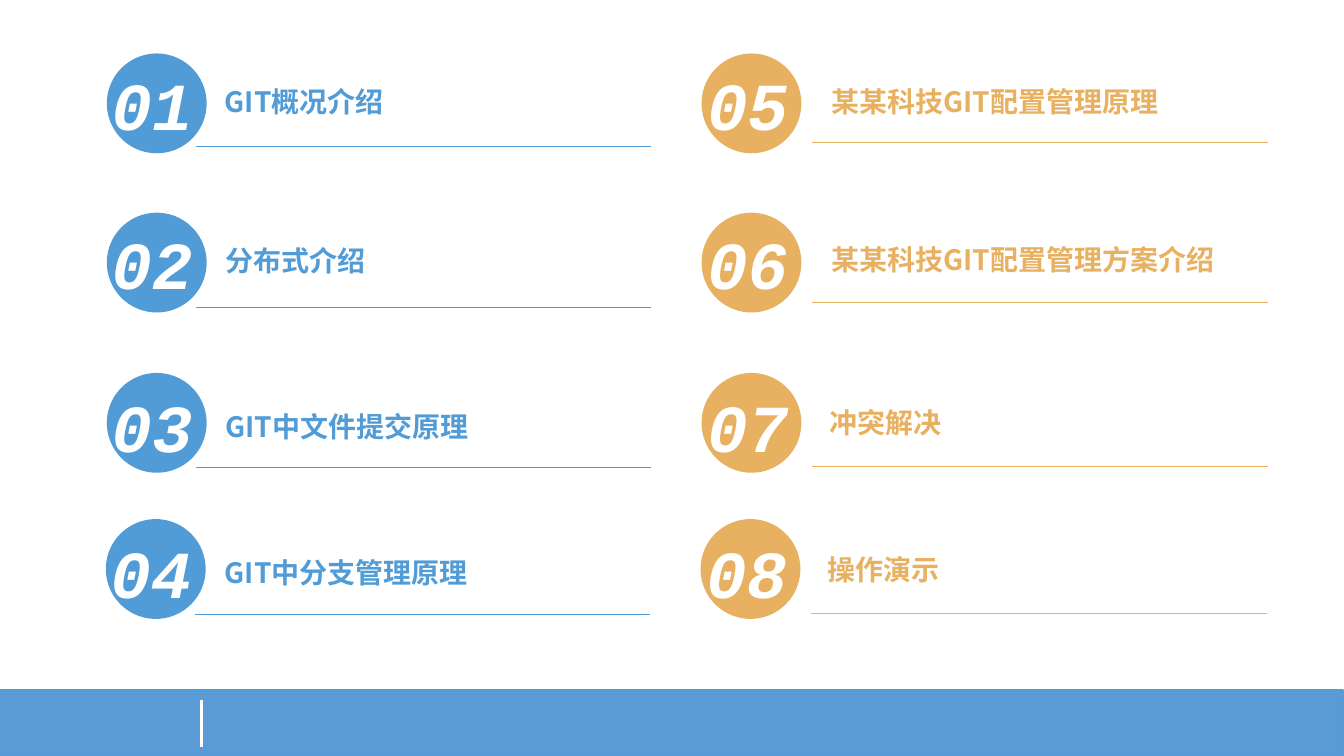
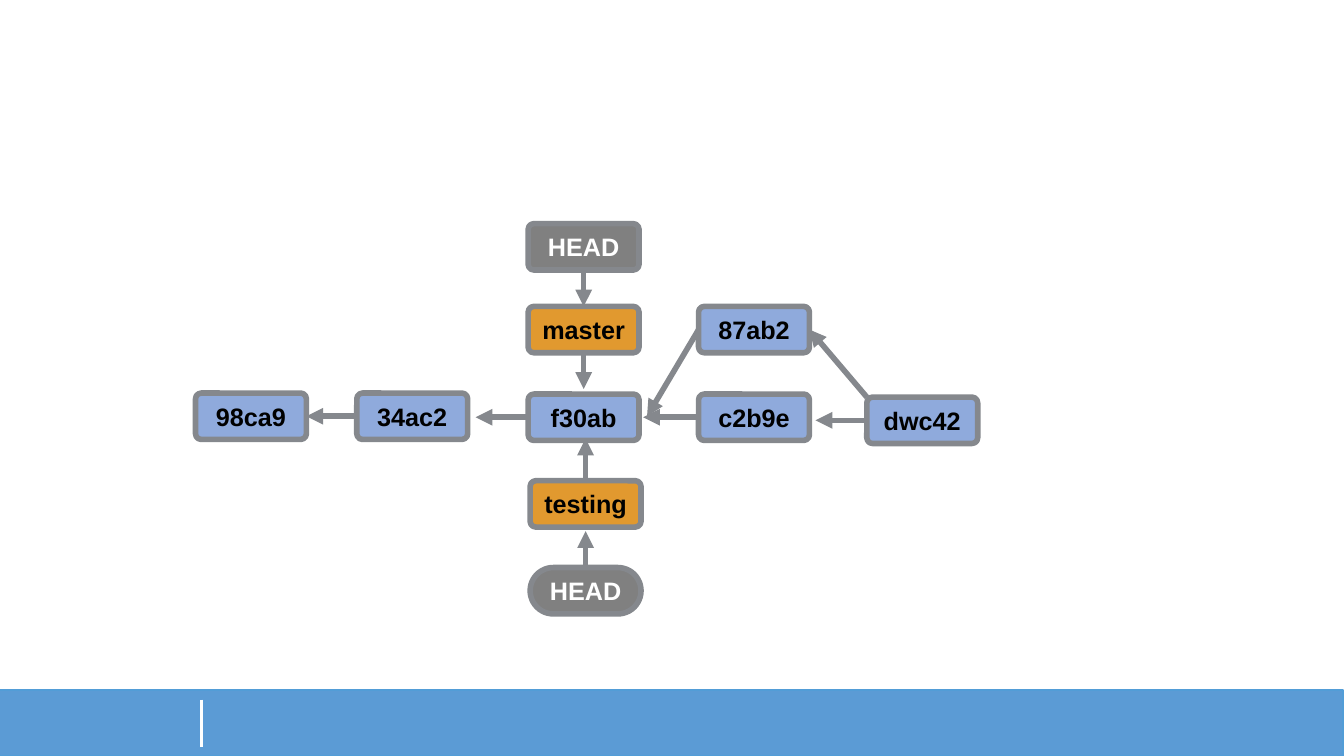
from dataclasses import dataclass

from pptx import Presentation
from pptx.dml.color import RGBColor
from pptx.enum.shapes import MSO_CONNECTOR, MSO_SHAPE
from pptx.enum.text import MSO_ANCHOR, PP_ALIGN
from pptx.oxml.ns import qn
from pptx.oxml.xmlchemy import OxmlElement
from pptx.util import Pt


@dataclass(frozen=True)
class Theme:
    band: str = "5B9BD5"
    band_line: str = "529DD7"
    blue: str = "519CD6"
    gold: str = "E8B161"
    commit: str = "8FAADC"
    branch: str = "E1992F"
    head: str = "808080"
    border: str = "85888D"
    white: str = "FFFFFF"
    black: str = "000000"
    number_font: str = "Courier New"
    title_font: str = "Noto Sans CJK SC"
    node_font: str = "Arial"
    number_size: int = 48
    title_size: int = 20
    node_size: int = 18


THEME = Theme()
SLIDE_WIDTH, SLIDE_HEIGHT = 960, 540
TOP, LEFT, BOTTOM, RIGHT = range(4)

# Agenda: circle top, number top, left shift of each row
AGENDA_ROWS = [(38.2, 41.8, 0), (151.9, 155.5, 0), (266.4, 271.4, 0), (370.8, 375.8, 0.7)]
CIRCLE_SIZE = 71.3
RULE_LENGTH = 325.3
# Each item: title, title left, title top, rule top
AGENDA_COLUMNS = [
    {"circle_left": 76.3, "number_left": 72.7, "rule_left": 139.7,
     "color": THEME.blue, "rule_color": THEME.band_line,
     "items": [("GIT概况介绍", 153.4, 56.9, 104.4),
               ("分布式介绍", 154.1, 170.6, 219.6),
               ("GIT中文件提交原理", 154.1, 288.7, 334.1),
               ("GIT中分支管理原理", 153.4, 393.1, 438.5)]},
    {"circle_left": 501.1, "number_left": 498.2, "rule_left": 580.3,
     "color": THEME.gold, "rule_color": THEME.gold,
     "items": [("某某科技GIT配置管理原理", 586.8, 56.9, 101.5),
               ("某某科技GIT配置管理方案介绍", 586.8, 169.9, 216),
               ("冲突解决", 585.4, 285.8, 333.4),
               ("操作演示", 583.9, 391, 437.8)]},
]

NODE_WIDTH, NODE_HEIGHT = 79.2, 33.1
NODE_INSET = 4.3
NODE_STYLES = {
    "commit": {"fill": THEME.commit, "text": THEME.black, "corner": 0.123},
    "branch": {"fill": THEME.branch, "text": THEME.black, "corner": 0.123},
    "head": {"fill": THEME.head, "text": THEME.white, "corner": 0.123},
    "pill": {"fill": THEME.head, "text": THEME.white, "corner": 0.5},
}
# Key: label, style, left, top
NODES = {
    "98ca9": ("98ca9", "commit", 139.7, 280.8),
    "34ac2": ("34ac2", "commit", 254.9, 280.8),
    "f30ab": ("f30ab", "commit", 377.3, 281.5),
    "c2b9e": ("c2b9e", "commit", 499, 281.5),
    "87ab2": ("87ab2", "commit", 499, 218.9),
    "dwc42": ("dwc42", "commit", 619.2, 283.7),
    "master": ("master", "branch", 377.3, 218.9),
    "testing": ("testing", "branch", 378.7, 343.4),
    "master head": ("HEAD", "head", 377.3, 159.8),
    "testing head": ("HEAD", "pill", 378.7, 405.4),
}
# Each end is a (node, side) joint or a free (x, y) point
ARROWS = [
    (("34ac2", LEFT), ("98ca9", RIGHT)),
    (("f30ab", LEFT), (339.8, 298.05)),
    (("c2b9e", LEFT), (459.4, 298.05)),
    (("87ab2", LEFT), (462.2, 297.4)),
    (("dwc42", LEFT), (582.5, 300.25)),
    ((619.2, 283.7), ("87ab2", RIGHT)),
    (("master head", BOTTOM), ("master", TOP)),
    (("master", BOTTOM), (416.9, 277.9)),
    (("testing", TOP), (418.3, 313.2)),
    (("testing head", TOP), (418.3, 379.4)),
]


def rgb(color):
    return RGBColor.from_string(color)


def add_filled_shape(slide, kind, box, color):
    shape = slide.shapes.add_shape(kind, *map(Pt, box))
    shape.shadow.inherit = False
    shape.fill.solid()
    shape.fill.fore_color.rgb = rgb(color)
    shape.line.fill.background()
    return shape


def set_line(shape, color, width):
    shape.line.color.rgb = rgb(color)
    shape.line.width = Pt(width)


def add_line(slide, start, end, color, width):
    line = slide.shapes.add_connector(MSO_CONNECTOR.STRAIGHT, *map(Pt, (*start, *end)))
    set_line(line, color, width)
    line._element.spPr.append(OxmlElement("a:effectLst"))
    return line


def write(shape, text, color, **font_values):
    run = shape.text_frame.paragraphs[0].add_run()
    run.text = text
    run.font.color.rgb = rgb(color)
    for name, value in {"bold": True, **font_values}.items():
        setattr(run.font, name, value)
    east_asian = OxmlElement("a:ea")
    east_asian.set("typeface", run.font.name)
    run.font._element.find(qn("a:latin")).addnext(east_asian)


def add_text(slide, box, text, color, **font_values):
    text_box = slide.shapes.add_textbox(*map(Pt, box))
    text_box.text_frame.word_wrap = True
    write(text_box, text, color, **font_values)


def add_slide(presentation):
    """Add a blank slide with the shared footer band."""
    slide = presentation.slides.add_slide(presentation.slide_layouts[6])
    for placeholder in list(slide.placeholders):
        placeholder._element.getparent().remove(placeholder._element)
    band = add_filled_shape(slide, MSO_SHAPE.RECTANGLE,
                            (-0.5, 493, SLIDE_WIDTH, 47), THEME.band)
    set_line(band, THEME.band_line, 1.5)
    add_line(slide, (144, 499.7), (144, 533.5), THEME.white, 2.25)
    return slide


def build_agenda(presentation):
    slide = add_slide(presentation)
    number = 0
    for column in AGENDA_COLUMNS:
        color = column["color"]
        for row, item in zip(AGENDA_ROWS, column["items"]):
            circle_top, number_top, shift = row
            title, title_left, title_top, rule_top = item
            number += 1
            add_filled_shape(slide, MSO_SHAPE.OVAL,
                             (column["circle_left"] - shift, circle_top,
                              CIRCLE_SIZE, CIRCLE_SIZE), color)
            add_text(slide, (column["number_left"] - shift, number_top, 80.6, 65.5),
                     f"{number:02}", THEME.white, name=THEME.number_font,
                     size=Pt(THEME.number_size), italic=True)
            rule_left = column["rule_left"] - shift
            add_line(slide, (rule_left, rule_top), (rule_left + RULE_LENGTH, rule_top),
                     column["rule_color"], 0.5)
            add_text(slide, (title_left, title_top, 340, 31.7), title, color,
                     name=THEME.title_font, size=Pt(THEME.title_size))


def add_node(slide, label, style_name, left, top):
    style = NODE_STYLES[style_name]
    node = add_filled_shape(slide, MSO_SHAPE.ROUNDED_RECTANGLE,
                            (left, top, NODE_WIDTH, NODE_HEIGHT), style["fill"])
    node.adjustments[0] = style["corner"]
    set_line(node, THEME.border, 4)
    frame = node.text_frame
    for side in ("left", "top", "right", "bottom"):
        setattr(frame, f"margin_{side}", Pt(NODE_INSET))
    frame.vertical_anchor = MSO_ANCHOR.MIDDLE
    frame.paragraphs[0].alignment = PP_ALIGN.CENTER
    write(node, label, style["text"], name=THEME.node_font, size=Pt(THEME.node_size))
    return node


def end_point(end):
    if end[0] not in NODES:
        return end
    key, side = end
    left, top = NODES[key][2:]
    across, down = {TOP: (0.5, 0), LEFT: (0, 0.5), BOTTOM: (0.5, 1), RIGHT: (1, 0.5)}[side]
    return left + across * NODE_WIDTH, top + down * NODE_HEIGHT


def add_arrow(slide, nodes, start, end):
    arrow = add_line(slide, end_point(start), end_point(end), THEME.border, 4)
    tip = OxmlElement("a:tailEnd")
    tip.set("type", "triangle")
    arrow._element.spPr.find(qn("a:ln")).append(tip)
    for joint, connect in ((start, arrow.begin_connect), (end, arrow.end_connect)):
        if joint[0] in nodes:
            connect(nodes[joint[0]], joint[1])


def build_commit_graph(presentation):
    slide = add_slide(presentation)
    nodes = {key: add_node(slide, *node) for key, node in NODES.items()}
    for start, end in ARROWS:
        add_arrow(slide, nodes, start, end)


def main():
    presentation = Presentation()
    presentation.slide_width = Pt(SLIDE_WIDTH)
    presentation.slide_height = Pt(SLIDE_HEIGHT)
    build_agenda(presentation)
    build_commit_graph(presentation)
    presentation.save("out.pptx")


if __name__ == "__main__":
    main()
